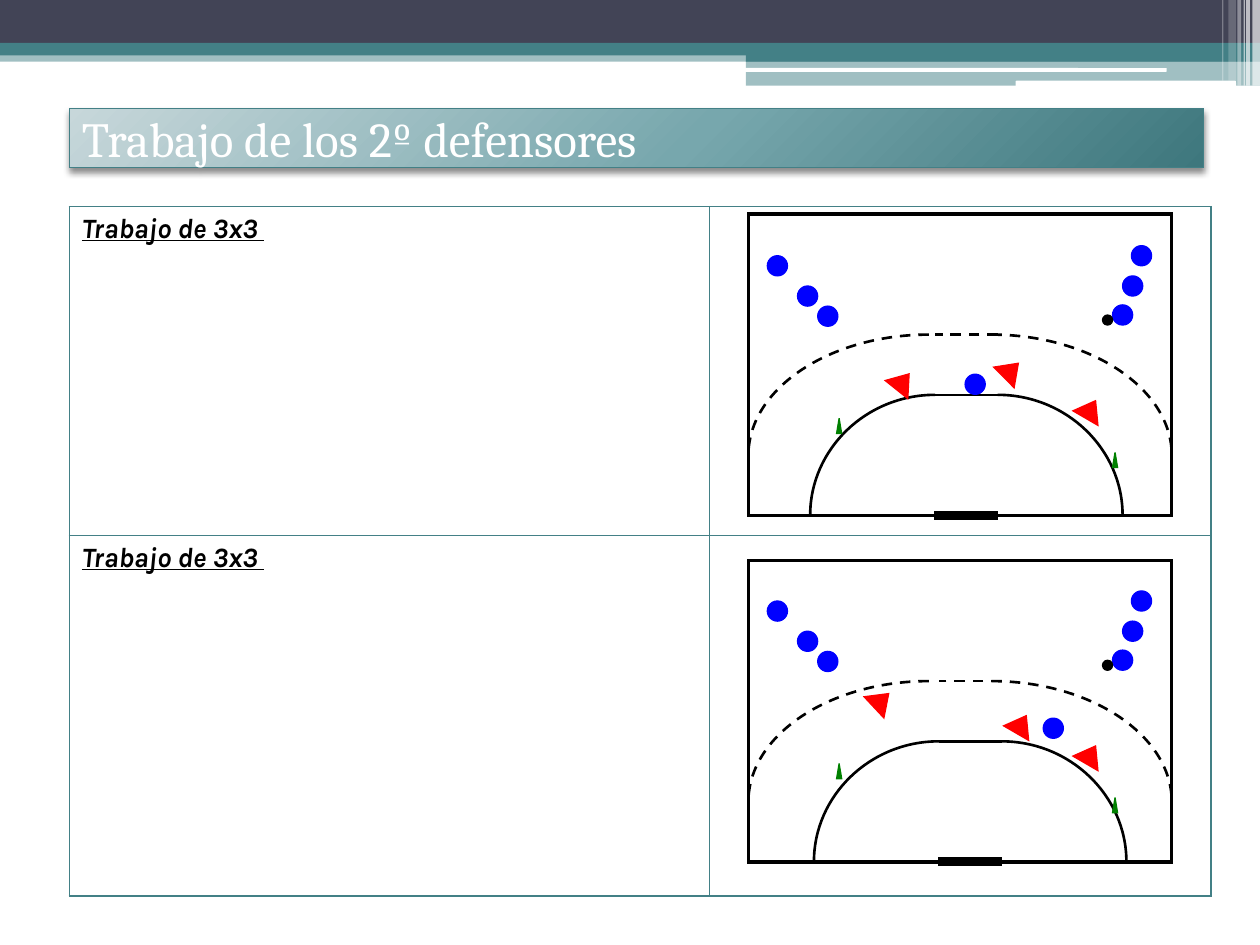
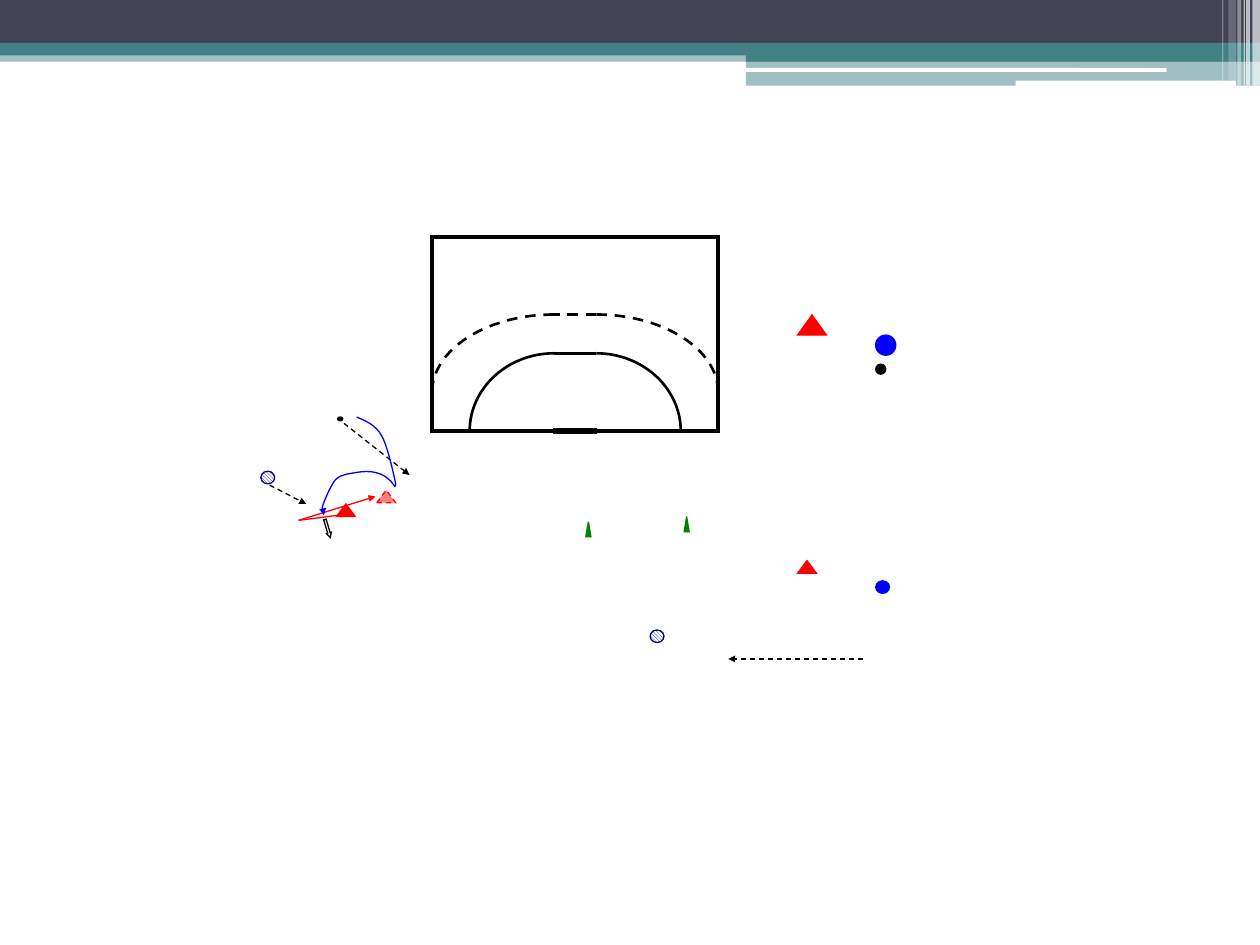
from lxml import etree
from pptx import Presentation
from pptx.dml.color import RGBColor
from pptx.enum.dml import MSO_LINE, MSO_PATTERN
from pptx.enum.shapes import MSO_CONNECTOR, MSO_SHAPE
from pptx.enum.text import MSO_ANCHOR, MSO_AUTO_SIZE, PP_ALIGN
from pptx.oxml import parse_xml
from pptx.oxml.ns import nsdecls, qn
from pptx.util import Inches, Pt

COLORS = {
    "white": "FFFFFF", "black": "000000", "slate": "424456", "teal": "438086",
    "pale": "C7D7DA", "mid": "77A7AD", "deep": "3E777D",
    "attack": "0000FF", "defence": "FF0000", "cone": "008000", "navy": "000080",
}
COLUMNS, ROWS = 10, 7.5
TITLE_FONT, BODY_FONT = "Cambria", "Karla"

# left, top, width, height, colour, opacity in percent
BANDS = [
    (0, 0.4, 10, 0.09, "teal", 50),
    (0, 0, 10, 0.34, "slate", 100),
    (0, 0.34, 10, 0.1, "teal", 100),
    (5.92, 0.39, 4.08, 0.1, "teal", 100),
    (5.92, 0.48, 4.08, 0.2, "teal", 50),
    (5.91, 0.54, 3.35, 0.03, "white", 100),
    (8.06, 0.64, 1.75, 0.05, "white", 100),
    (9.94, 0, 0.06, 0.68, "white", 65),
    (9.89, 0, 0.03, 0.68, "white", 65),
    (9.87, 0, 0.01, 0.68, "white", 60),
    (9.82, 0, 0.03, 0.68, "white", 40),
    (9.75, 0, 0.06, 0.64, "white", 20),
    (9.7, 0, 0.01, 0.64, "white", 30),
]


def rgb(name):
    """Return the named colour."""
    return RGBColor.from_string(COLORS[name])


class Board:
    """Holds the presentation, its style and the current slide."""

    def __init__(self):
        self.presentation = Presentation()
        self.presentation.slide_width = Inches(10)
        self.presentation.slide_height = Inches(7.5)
        self.column = self.presentation.slide_width / COLUMNS
        self.row = self.presentation.slide_height / ROWS

    def x(self, columns):
        """Convert columns to a length."""
        return round(columns * self.column)

    def y(self, rows):
        """Convert rows to a length."""
        return round(rows * self.row)

    def box(self, left, top, width, height):
        """Convert a grid box to lengths."""
        return self.x(left), self.y(top), self.x(width), self.y(height)

    def add_slide(self, layout):
        """Start a new slide."""
        self.slide = self.presentation.slides.add_slide(
            self.presentation.slide_layouts.get_by_name(layout))
        self.canvas = self.slide.shapes

    def outline(self, shape, color, width=0.75, dashed=False, arrow=False):
        """Set the line of a shape or connector, with sharp corners."""
        shape.line.color.rgb = rgb(color)
        shape.line.width = Pt(width)
        if dashed:
            shape.line.dash_style = MSO_LINE.DASH
        line = shape.element.spPr.find(qn("a:ln"))
        etree.SubElement(line, qn("a:miter"), lim="800000")
        if arrow:
            etree.SubElement(line, qn("a:tailEnd"), type="triangle", w="sm", len="sm")

    def shape(self, kind, box, fill, line=None, width=0.75, opacity=100, rotation=0, dashed=False):
        """Add a preset shape."""
        shape = self.canvas.add_shape(kind, *self.box(*box))
        shape.rotation = rotation
        shape.shadow.inherit = False
        shape.fill.solid()
        shape.fill.fore_color.rgb = rgb(fill)
        if opacity < 100:
            color = shape.element.spPr.find(qn("a:solidFill"))[0]
            etree.SubElement(color, qn("a:alpha"), val=str(opacity * 1000))
        if line:
            self.outline(shape, line, width, dashed)
        else:
            shape.line.fill.background()
        return shape

    def line(self, start, end, color="black", width=0.75, dashed=False, arrow=False):
        """Add a straight line."""
        connector = self.canvas.add_connector(
            MSO_CONNECTOR.STRAIGHT, self.x(start[0]), self.y(start[1]), self.x(end[0]), self.y(end[1]))
        etree.SubElement(connector.element.spPr, qn("a:effectLst"))
        self.outline(connector, color, width, dashed, arrow)

    def curve(self, start, segments, color="black", width=0.75, dashed=False, arrow=False):
        """Add an open line of cubic curves."""
        corners = [start] + [corner for segment in segments for corner in segment]
        points = [(self.x(x), self.y(y)) for x, y in corners]
        builder = self.canvas.build_freeform(*points[0])
        builder.add_line_segments(points[1:], close=False)
        shape = builder.convert_to_shape()
        steps = list(shape.element.spPr.iter(qn("a:lnTo")))
        for first in range(0, len(steps), 3):
            cubic = etree.Element(qn("a:cubicBezTo"))
            steps[first].addprevious(cubic)
            for step in steps[first:first + 3]:
                cubic.append(step[0])
                step.getparent().remove(step)
        shape.shadow.inherit = False
        shape.fill.background()
        self.outline(shape, color, width, dashed, arrow)

    def bands(self):
        """Put the shared header bands on the slide master."""
        tree = self.presentation.slide_master.shapes.element
        for number, (*box, color, opacity) in enumerate(BANDS, start=100):
            kind = MSO_SHAPE.RECTANGLE if box[1] not in (0.54, 0.64) else MSO_SHAPE.ROUNDED_RECTANGLE
            band = self.shape(kind, box, color, opacity=opacity)
            band.element.nvSpPr.cNvPr.id = number
            tree.insert_element_before(band.element, "p:extLst")

    def title(self, text):
        """Fill the title placeholder and give it the gradient bar."""
        title = self.slide.shapes.title
        title.left, title.top, title.width, title.height = self.box(0.55, 0.86, 9, 0.47)
        frame = title.text_frame
        frame.text = text
        frame.auto_size = MSO_AUTO_SIZE.NONE
        frame.vertical_anchor = MSO_ANCHOR.MIDDLE
        paragraph = frame.paragraphs[0]
        paragraph.alignment = PP_ALIGN.LEFT
        font = paragraph.runs[0].font
        font.name, font.size, font.color.rgb = TITLE_FONT, Pt(28), rgb("white")
        title.fill.solid()
        self.outline(title, "teal")
        title.shadow.inherit = False
        properties = title.element.spPr
        stops = "".join(f'<a:gs pos="{place}000"><a:srgbClr val="{COLORS[name]}"/></a:gs>'
                        for place, name in ((0, "pale"), (55, "mid"), (100, "deep")))
        properties.replace(properties.find(qn("a:solidFill")), parse_xml(
            f'<a:gradFill {nsdecls("a")} rotWithShape="1"><a:gsLst>{stops}</a:gsLst><a:path path="circle">'
            '<a:fillToRect l="-40000" t="-90000" r="140000" b="190000"/></a:path></a:gradFill>'))
        properties.find(qn("a:effectLst")).append(parse_xml(
            f'<a:outerShdw {nsdecls("a")} blurRad="{Pt(4)}" dist="{Pt(2)}" dir="5400000" rotWithShape="0">'
            f'<a:srgbClr val="{COLORS["black"]}"><a:alpha val="45000"/></a:srgbClr></a:outerShdw>'))

    def table(self, left, top, widths, heights, texts):
        """Add a bordered table with its text in the first column."""
        box = self.box(left, top, sum(widths), sum(heights))
        table = self.canvas.add_table(len(heights), len(widths), *box).table
        table.first_row = table.horz_banding = False
        for column, width in zip(table.columns, widths):
            column.width = self.x(width)
        for row, height in zip(table.rows, heights):
            row.height = self.y(height)
        for cell in table.iter_cells():
            for side in "LRTB":
                cell._tc.get_or_add_tcPr().append(parse_xml(
                    f'<a:ln{side} {nsdecls("a")} w="{Pt(1)}"><a:solidFill>'
                    f'<a:srgbClr val="{COLORS["teal"]}"/></a:solidFill></a:ln{side}>'))
            cell.fill.background()
        for row, text in enumerate(texts):
            paragraph = table.cell(row, 0).text_frame.paragraphs[0]
            paragraph.text = text
            paragraph.space_before = Pt(3.2)
            font = paragraph.runs[0].font
            font.name, font.size, font.color.rgb = BODY_FONT, Pt(16), rgb("black")
            font.bold = font.italic = font.underline = True

    def court(self, left, top, width, height, shift=0):
        """Draw a half court as a group; shift moves the goal sideways."""
        self.canvas = self.slide.shapes.add_group_shape().shapes
        self.shape(MSO_SHAPE.RECTANGLE, (left, top, width, height), "white", "black", 2)
        middle, bottom, half = left + width / 2, top + height, 0.074 * width
        goal, goal_height = middle + shift, 0.025 * height
        areas = ((0.6, 0.295 * width, goal, False), (0.4, width / 2 - half, middle, True))
        for share, reach, center, dashed in areas:
            ridge, drop = top + share * height, 0.4 * height
            for side in (-1, 1):
                start = center + side * half
                end = start + side * reach
                self.curve((start, ridge), [((start + 0.55 * side * reach, ridge),
                                             (end, ridge + 0.45 * drop), (end, ridge + drop))],
                           width=1.5, dashed=dashed)
            self.line((goal + half, ridge), (goal - half, ridge), width=1.5, dashed=dashed)
        self.shape(MSO_SHAPE.RECTANGLE, (goal - half, bottom - goal_height / 2, 2 * half, goal_height),
                   "black", "black")
        self.canvas = self.slide.shapes

    def attacker(self, left, top, width=0.16, height=0.16):
        """Add a blue attacker."""
        self.shape(MSO_SHAPE.OVAL, (left, top, width, height), "attack", "attack")

    def passer(self, left, top):
        """Add a hatched passer."""
        fill = self.shape(MSO_SHAPE.OVAL, (left, top, 0.11, 0.1), "white", "navy").fill
        fill.patterned()
        fill.pattern = MSO_PATTERN.DARK_DOWNWARD_DIAGONAL
        fill.fore_color.rgb, fill.back_color.rgb = rgb("navy"), rgb("white")

    def defender(self, left, top, rotation=0, width=0.23, height=0.16, **style):
        """Add a red defender."""
        self.shape(MSO_SHAPE.ISOSCELES_TRIANGLE, (left, top, width, height), "defence", "defence",
                   rotation=rotation, **style)

    def cone(self, left, top):
        """Add a green cone."""
        self.shape(MSO_SHAPE.ISOSCELES_TRIANGLE, (left, top, 0.04, 0.12), "cone", "cone")

    def ball(self, left, top, width=0.08, height=0.08):
        """Add a ball."""
        self.shape(MSO_SHAPE.OVAL, (left, top, width, height), "black", "black")

    def drill(self, top, pivot, defenders):
        """Place the players of a 3x3 drill below the given row."""
        queues = [(8.83, 0.72), (8.91, 0.49), (8.98, 0.25), (6.33, 0.57), (6.49, 0.73), (6.09, 0.33)]
        for left, offset in queues + [pivot]:
            self.attacker(left, top + offset)
        for left, offset, rotation in defenders:
            self.defender(left, top + offset, rotation)
        for left, offset in ((6.64, 1.62), (8.83, 1.89)):
            self.cone(left, top + offset)
        self.ball(8.75, top + 0.8)


board = Board()

board.add_slide("Title Only")
board.bands()
board.title("Trabajo de los 2º defensores")
board.table(0.55, 1.64, (5.08, 3.98), (2.61, 2.86), ["Trabajo de 3x3 "] * 2)
board.court(5.94, 4.45, 3.36, 2.39, shift=0.08)
board.drill(4.44, (8.28, 1.26), [(7.99, 1.23, 30.2), (8.54, 1.47, 30.2), (6.88, 1.04, 46.9)])
board.court(5.94, 1.7, 3.36, 2.39, shift=0.05)
board.drill(1.7, (7.66, 1.27), [(7.91, 1.16, 45.4), (8.54, 1.47, 30.2), (7.05, 1.25, 38.7)])

board.add_slide("Blank")
board.court(3.43, 1.88, 2.27, 1.54)
board.attacker(6.95, 4.61, 0.11, 0.1)
board.attacker(6.95, 2.66)
board.ball(2.68, 3.31, 0.04, 0.03)
board.ball(6.95, 2.89)
for spot in ((5.16, 5), (2.07, 3.74)):
    board.passer(*spot)
for spot in ((6.33, 4.45), (2.67, 4)):
    board.defender(*spot, width=0.15, height=0.1)
board.defender(2.99, 3.89, width=0.15, height=0.1, opacity=50, dashed=True)
board.defender(6.33, 2.5)
passes = [((2.73, 3.36), (3.25, 3.77)), ((6.85, 5.23), (5.78, 5.23)), ((2.14, 3.85), (2.43, 4))]
for start, end in passes:
    board.line(start, end, dashed=True, arrow=True)
shot = board.shape(MSO_SHAPE.UP_ARROW, (2.58, 4.12, 0.04, 0.15), "white", "black", rotation=163.4)
shot.adjustments[1] = 0.97
board.line((2.68, 4.09), (2.37, 4.13), "defence")
board.line((2.37, 4.13), (2.98, 3.94), "defence", arrow=True)
board.curve((2.83, 3.31), [
    ((2.9, 3.34), (2.98, 3.37), (3.03, 3.46)),
    ((3.08, 3.55), (3.13, 3.79), (3.14, 3.84)),
    ((3.14, 3.9), (3.11, 3.81), (3.08, 3.8)),
    ((3.06, 3.78), (3.02, 3.76), (2.98, 3.75)),
    ((2.94, 3.74), (2.88, 3.74), (2.83, 3.75)),
    ((2.78, 3.76), (2.72, 3.76), (2.67, 3.8)),
    ((2.63, 3.84), (2.59, 3.94), (2.57, 3.99)),
    ((2.55, 4.04), (2.57, 4.07), (2.57, 4.09)),
], "attack", arrow=True)
for spot in ((5.43, 4.1), (4.65, 4.14)):
    board.cone(*spot)

board.presentation.save("out.pptx")
